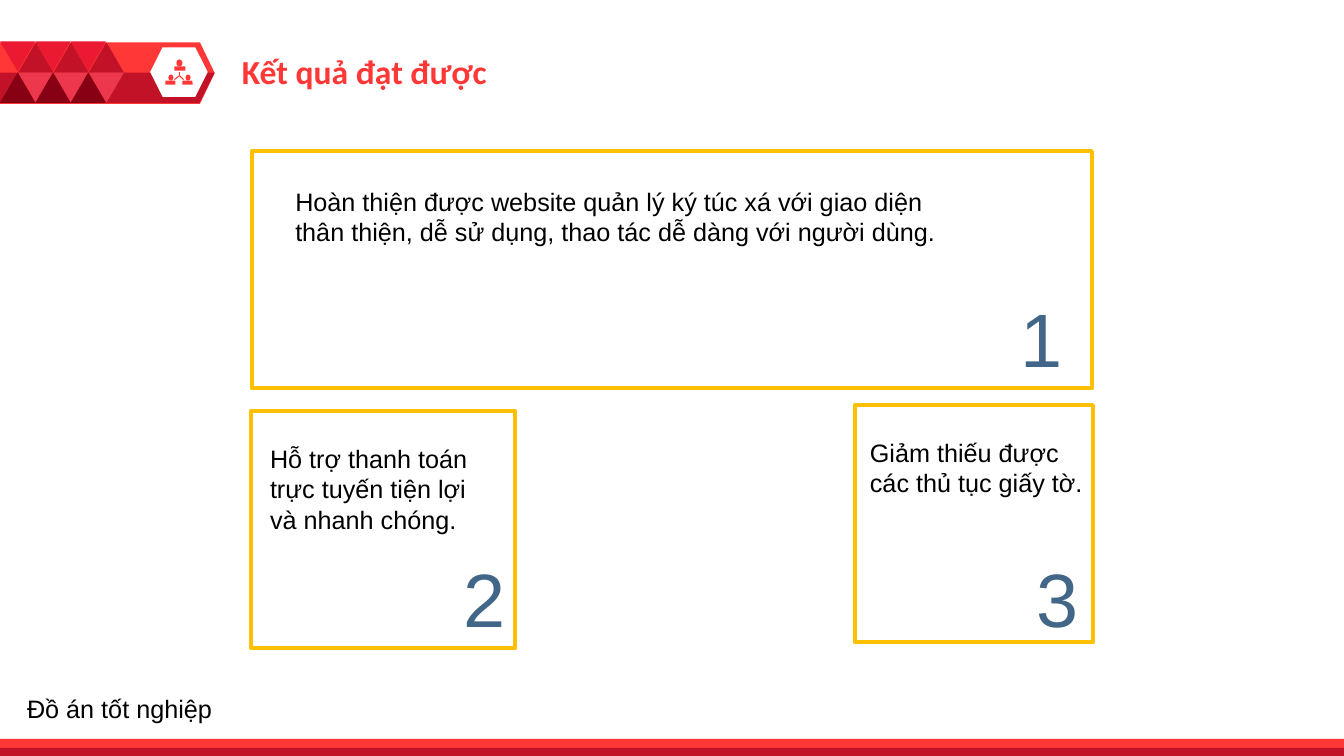
from dataclasses import dataclass
from itertools import product

from lxml.etree import SubElement
from pptx import Presentation
from pptx.dml.color import RGBColor
from pptx.enum.shapes import MSO_CONNECTOR, MSO_SHAPE as SHAPE
from pptx.enum.text import MSO_ANCHOR, MSO_AUTO_SIZE, PP_ALIGN as ALIGN
from pptx.oxml.ns import qn
from pptx.util import Emu, Pt

PX = 9144  # 100 px to the inch


@dataclass(frozen=True)
class Theme:
    red: str = "FF3737"
    crimson: str = "C21227"
    scarlet: str = "EB1932"
    rose: str = "ED374D"
    maroon: str = "880014"
    white: str = "FFFFFF"
    black: str = "000000"
    gold: str = "FFC000"
    blue: str = "426687"
    title_font: str = "Calibri"
    body_font: str = "Arial"
    title_size: int = 24
    body_size: int = 18
    number_size: int = 54
    frame_width: int = 3


THEME = Theme()

# frame box, text box, number box
CARDS = [
    ("Hoàn thiện được website quản lý ký túc xá với giao diện thân thiện, "
     "dễ sử dụng, thao tác dễ dàng với người dùng.",
     (250, 150, 833, 235), (283, 180, 692, 71), (900, 285, 164, 101)),
    ("Hỗ trợ thanh toán trực tuyến tiện lợi và nhanh chóng.",
     (249, 408, 262, 235), (258, 435, 220, 101), (347, 543, 164, 101)),
    ("Giảm thiếu được các thủ tục giấy tờ.",
     (848, 402, 236, 235), (853, 429, 236, 71), (916, 543, 164, 101)),
]


def px(*values):
    return [Emu(v * PX) for v in values]


def rgb(color):
    return RGBColor.from_string(color)


def paint(sp, color):
    sp.shadow.inherit = False
    sp.fill.solid()
    sp.fill.fore_color.rgb = rgb(color)
    sp.line.fill.background()
    return sp


def add_shape(slide, kind, box, color, rotation=0):
    sp = paint(slide.shapes.add_shape(kind, *px(*box)), color)
    sp.rotation = rotation
    return sp


def add_polygon(slide, points, color):
    builder = slide.shapes.build_freeform(*points[0], scale=PX)
    builder.add_line_segments(points[1:])
    return paint(builder.convert_to_shape(), color)


def add_frame(slide, box):
    sp = slide.shapes.add_shape(SHAPE.RECTANGLE, *px(*box))
    sp.shadow.inherit = False
    sp.fill.background()
    sp.line.color.rgb = rgb(THEME.gold)
    sp.line.width = Pt(THEME.frame_width)


def write(sp, text, size, color, font=THEME.body_font, bold=False, align=ALIGN.LEFT):
    tf = sp.text_frame
    tf.word_wrap = True
    tf.auto_size = MSO_AUTO_SIZE.NONE
    tf.vertical_anchor = MSO_ANCHOR.TOP
    p = tf.paragraphs[0]
    p.text = text
    p.alignment = align
    p.font.name = font
    p.font.size = Pt(size)
    p.font.bold = bold
    p.font.color.rgb = rgb(color)


def add_text(slide, box, text, size=THEME.body_size, color=THEME.black, align=ALIGN.LEFT):
    write(slide.shapes.add_textbox(*px(*box)), text, size, color, align=align)


def add_spoke(slide, start, end):
    line = slide.shapes.add_connector(MSO_CONNECTOR.STRAIGHT, *px(*start, *end))
    line.line.color.rgb = rgb(THEME.red)
    line.line.width = Pt(0.75)
    SubElement(line._element.spPr, qn("a:effectLst"))


def add_person(slide, x, y, width, head, height):
    """Draw a head and shoulders centred on x, with the top at y."""
    add_shape(slide, SHAPE.OVAL, (x - head // 2, y, head, head + 1), THEME.red)
    add_shape(slide, SHAPE.ROUND_2_SAME_RECTANGLE,
              (x - width // 2, y + head + 1, width, height - head - 1), THEME.red)


def add_network_icon(slide):
    hub = (178, 75)
    for end in ((178, 71), (173, 79), (182, 79)):
        add_spoke(slide, hub, end)
    add_person(slide, 178, 59, 11, 6, 11)
    for x in (169, 186):
        add_person(slide, x, 74, 10, 5, 10)


def add_banner(slide):
    plate = add_shape(slide, SHAPE.PENTAGON, (0, 42, 213, 61), THEME.red)
    plate.adjustments[0] = 0.24
    add_polygon(slide, [(0, 72), (213, 72), (198, 102), (0, 102)], THEME.crimson)
    add_shape(slide, SHAPE.HEXAGON, (149, 47, 57, 49), THEME.white)
    add_network_icon(slide)
    tiles = [(0, 41, 180, THEME.scarlet), (18, 42, 0, THEME.crimson),
             (18, 72, 180, THEME.rose), (0, 72, 0, THEME.maroon)]
    for column, (x, y, rotation, color) in product(range(3), tiles):
        box = (x + 35 * column, y, 35, 30)
        add_shape(slide, SHAPE.ISOSCELES_TRIANGLE, box, color, rotation)


def add_title(slide, text):
    title = slide.shapes.title
    title.left, title.top, title.width, title.height = px(230, 45, 422, 50)
    write(title, text, THEME.title_size, THEME.red, THEME.title_font, bold=True)


def add_footer(slide, text):
    add_shape(slide, SHAPE.RECTANGLE, (0, 733, 1333, 16), THEME.red)
    add_shape(slide, SHAPE.RECTANGLE, (0, 742, 1333, 8), THEME.crimson)
    add_text(slide, (17, 683, 283, 40), text)


def main():
    prs = Presentation()
    prs.slide_width, prs.slide_height = px(1333, 750)
    slide = prs.slides.add_slide(prs.slide_layouts[5])
    add_banner(slide)
    add_title(slide, "Kết quả đạt được")
    for number, (text, frame, text_box, number_box) in enumerate(CARDS, 1):
        add_frame(slide, frame)
        add_text(slide, text_box, text)
        add_text(slide, number_box, str(number), THEME.number_size, THEME.blue, ALIGN.RIGHT)
    add_footer(slide, "Đồ án tốt nghiệp")
    prs.save("out.pptx")


if __name__ == "__main__":
    main()
